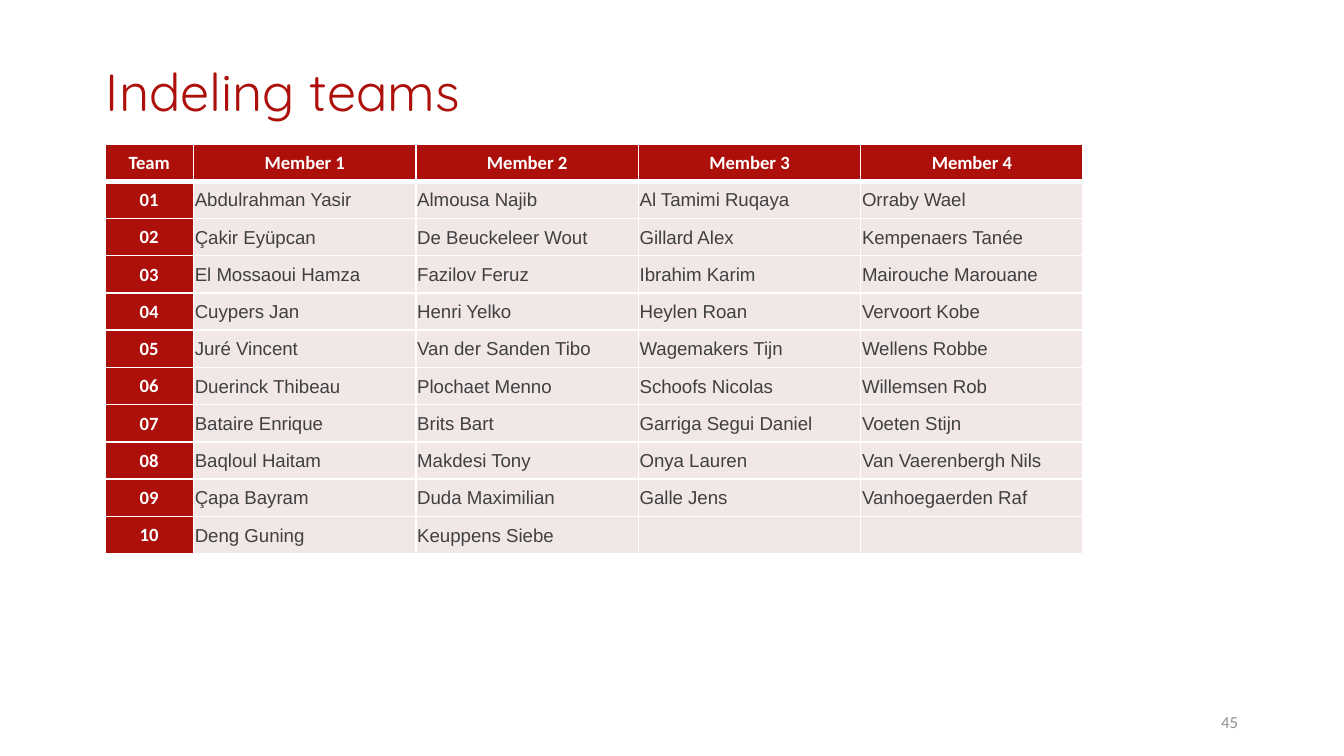
from lxml.etree import SubElement
from pptx import Presentation
from pptx.dml.color import RGBColor
from pptx.enum.text import MSO_ANCHOR, PP_ALIGN
from pptx.oxml.ns import qn
from pptx.util import Inches, Pt

RED = RGBColor(0xAD, 0x0F, 0x0A)
PINK = RGBColor(0xF1, 0xE7, 0xE7)
WHITE = RGBColor(0xFF, 0xFF, 0xFF)
DARK = RGBColor(0x40, 0x40, 0x40)
GREY = RGBColor(0x93, 0x93, 0x93)

TITLE_FONT = {"name": "Quicksand", "size": Pt(28), "color": RED}
NUMBER_FONT = {"name": "Calibri", "size": Pt(9), "color": GREY}
HEADING_FONT = {"name": "Calibri", "size": Pt(10), "bold": True, "color": WHITE}
MEMBER_FONT = {"name": "Arial", "size": Pt(10), "bold": False, "color": DARK}
CELL_FORMAT = {
    "margin_left": Inches(0.01),
    "margin_right": Inches(0.01),
    "margin_top": Inches(0.01),
    "margin_bottom": 0,
    "vertical_anchor": MSO_ANCHOR.MIDDLE,
}

TEAMS = [
    ["Abdulrahman Yasir", "Almousa Najib", "Al Tamimi Ruqaya", "Orraby Wael"],
    ["Çakir Eyüpcan", "De Beuckeleer Wout", "Gillard Alex", "Kempenaers Tanée"],
    ["El Mossaoui Hamza", "Fazilov Feruz", "Ibrahim Karim", "Mairouche Marouane"],
    ["Cuypers Jan", "Henri Yelko", "Heylen Roan", "Vervoort Kobe"],
    ["Juré Vincent", "Van der Sanden Tibo", "Wagemakers Tijn", "Wellens Robbe"],
    ["Duerinck Thibeau", "Plochaet Menno", "Schoofs Nicolas", "Willemsen Rob"],
    ["Bataire Enrique", "Brits Bart", "Garriga Segui Daniel", "Voeten Stijn"],
    ["Baqloul Haitam", "Makdesi Tony", "Onya Lauren", "Van Vaerenbergh Nils"],
    ["Çapa Bayram", "Duda Maximilian", "Galle Jens", "Vanhoegaerden Raf"],
    ["Deng Guning", "Keuppens Siebe", "", ""],
]


def write(paragraph, text, font_format, align):
    paragraph.alignment = align
    run = paragraph.add_run()
    run.text = text
    for attribute, value in font_format.items():
        if attribute == "color":
            run.font.color.rgb = value
        else:
            setattr(run.font, attribute, value)


def add_border(cell, side, width):
    line = SubElement(cell._tc.get_or_add_tcPr(), qn(f"a:ln{side}"), w=str(width))
    fill = SubElement(line, qn("a:solidFill"))
    SubElement(fill, qn("a:srgbClr"), val=str(WHITE))


# Widescreen slide, 16:9
deck = Presentation()
deck.slide_width = Inches(10)
deck.slide_height = deck.slide_width * 9 // 16
slide = deck.slides.add_slide(deck.slide_layouts[6])

# Title and page number
for text, font_format, align, spacing, place in [
    ("Indeling teams", TITLE_FONT, PP_ALIGN.LEFT, 0.9, (0.69, 0.46, 8.62, 0.49)),
    ("45", NUMBER_FONT, PP_ALIGN.RIGHT, 1, (8.42, 5.22, 0.89, 0.3)),
]:
    frame = slide.shapes.add_textbox(*map(Inches, place)).text_frame
    frame.word_wrap = True
    frame.vertical_anchor = MSO_ANCHOR.MIDDLE
    frame.paragraphs[0].line_spacing = spacing
    write(frame.paragraphs[0], text, font_format, align)

# Team grid: a narrow number column, then equal member columns
members = len(TEAMS[0])
rows = [["Team"] + [f"Member {n}" for n in range(1, members + 1)]]
rows += [[f"{n:02}"] + team for n, team in enumerate(TEAMS, 1)]
table_width, table_height = Inches(7.28), Inches(3.05)
number_width = Inches(0.66)
widths = [number_width] + [(table_width - number_width) // members] * members
team_table = slide.shapes.add_table(
    len(rows), len(widths), Inches(0.78), Inches(1.07), table_width, table_height
).table
for column, width in zip(team_table.columns, widths):
    column.width = width
for row in team_table.rows:
    row.height = table_height // len(rows)

# Cells
for r, row in enumerate(rows):
    for c, text in enumerate(row):
        cell = team_table.cell(r, c)
        heading = r == 0 or c == 0
        for attribute, value in CELL_FORMAT.items():
            setattr(cell, attribute, value)

        # The rule under the header row is thicker
        thick_side = {0: "B", 1: "T"}.get(r)
        for side in "LRTB":
            add_border(cell, side, Pt(3) if side == thick_side else Pt(1))
        cell.fill.solid()
        cell.fill.fore_color.rgb = RED if heading else PINK

        paragraph = cell.text_frame.paragraphs[0]
        if text:
            write(paragraph, text, HEADING_FONT if heading else MEMBER_FONT,
                  PP_ALIGN.CENTER if heading else PP_ALIGN.LEFT)
        else:
            # Keeps an empty cell from stretching its row
            SubElement(paragraph._p, qn("a:endParaRPr"), sz="1000")

deck.save("out.pptx")
